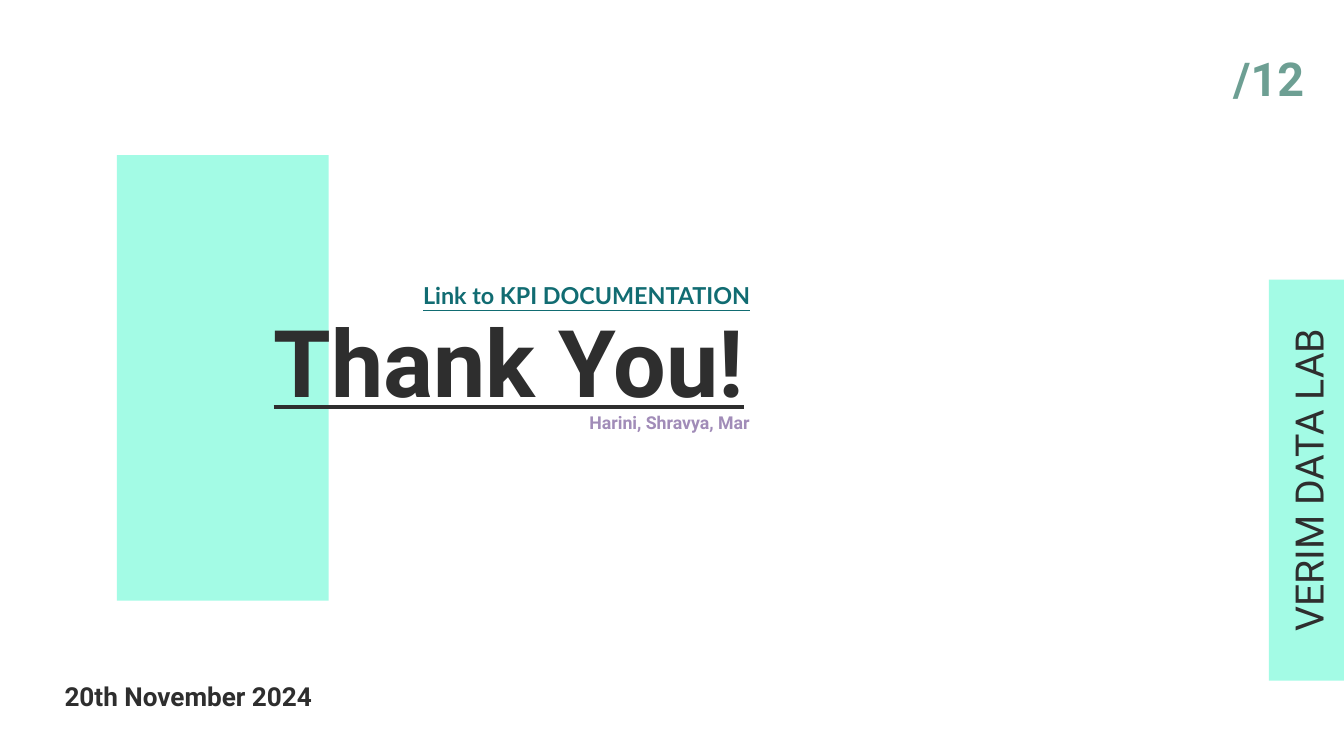
import pptx
import pptx.util
from pptx.dml.color import RGBColor
from pptx.enum.shapes import MSO_SHAPE
from pptx.enum.text import MSO_ANCHOR, MSO_AUTO_SIZE, PP_ALIGN

Cm, Pt = pptx.util.Cm, pptx.util.Pt

INK, MINT = "2E2E2E", "A3FBE5"
LEADING = 1.4

# left, top, width, height in cm
PANELS = [(4.42, 5.87, 8, 16.84), (47.96, 10.57, 2.84, 15.16)]

TITLE = ("Thank You!", (10.34, 10.8, 21.26, 4.75), dict(size=100, under=True))
TEXTS = [
    ("VERIM DATA LAB", (42.27, 17.15, 13.97, 2.01),
     dict(size=42, bold=False, align=PP_ALIGN.CENTER, turn=270)),
    ("Harini, Shravya, Mar", (22.28, 15.42, 9.32, 0.89),
     dict(size=19, color="A18CB8")),
    ("20th November 2024", (2.44, 25.53, 11.13, 1.37), dict(size=28)),
    ("/12", (45.67, 1.52, 4.57, 2.39),
     dict(size=50, color="6D9F93", align=PP_ALIGN.CENTER)),
    ("Link to KPI DOCUMENTATION", (15.24, 10.44, 13.11, 1.17),
     dict(size=25, font="Lato", color="116C72", under=True,
          align=PP_ALIGN.RIGHT)),
]


def rgb(color):
    return RGBColor.from_string(color)


def place(shape, box):
    shape.left, shape.top, shape.width, shape.height = map(Cm, box)


def write(shape, text, size, font="Roboto", color=INK, bold=True,
          under=False, align=PP_ALIGN.LEFT, turn=0):
    shape.rotation = turn
    frame = shape.text_frame
    frame.word_wrap = True
    frame.auto_size = MSO_AUTO_SIZE.NONE
    frame.vertical_anchor = MSO_ANCHOR.TOP
    frame.margin_left = frame.margin_right = 0
    frame.margin_top = frame.margin_bottom = 0
    para = frame.paragraphs[0]
    para.alignment = align
    para.line_spacing = Pt(round(size * LEADING, 1))
    run = para.add_run()
    run.text = text
    face = run.font
    face.name, face.size = font, Pt(size)
    face.bold, face.underline = bold, under
    face.color.rgb = rgb(color)


def main():
    deck = pptx.Presentation()
    deck.slide_width, deck.slide_height = Cm(50.8), Cm(28.58)
    slide = deck.slides.add_slide(deck.slide_layouts[5])
    shapes = slide.shapes

    for box in PANELS:
        panel = shapes.add_shape(MSO_SHAPE.RECTANGLE, *map(Cm, box))
        panel.fill.solid()
        panel.fill.fore_color.rgb = rgb(MINT)
        panel.line.fill.background()
        panel.shadow.inherit = False

    title = shapes.title
    text, box, style = TITLE
    place(title, box)
    write(title, text, **style)
    title.element.getparent().append(title.element)  # in front of the panels

    for text, box, style in TEXTS:
        write(shapes.add_textbox(*map(Cm, box)), text, **style)

    deck.save("out.pptx")


if __name__ == "__main__":
    main()
